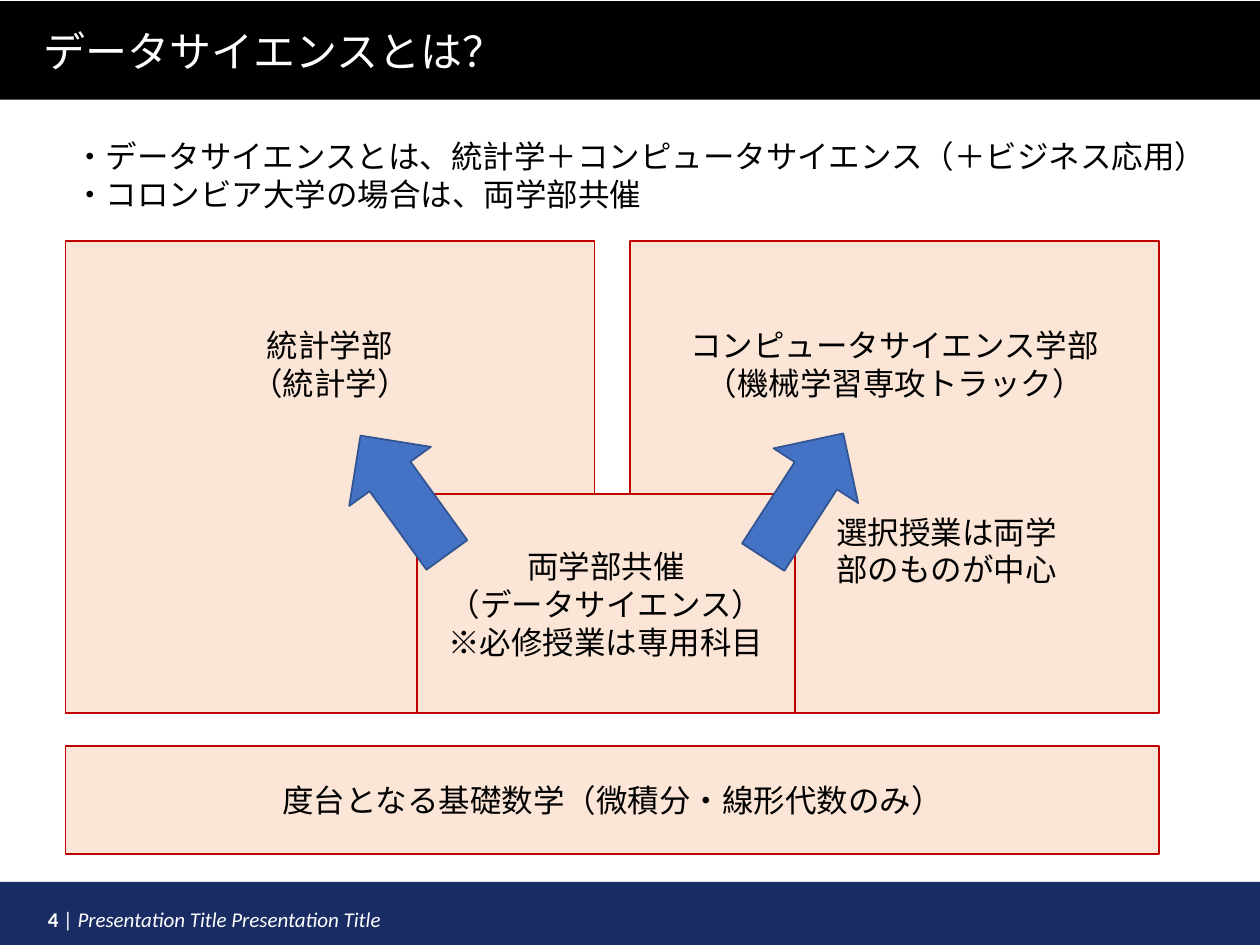
from lxml import etree
from pptx import Presentation
from pptx.dml.color import RGBColor
from pptx.enum import shapes, text
from pptx.oxml import ns
from pptx.util import Pt

JP = "Noto Sans CJK JP"
LATIN = "Calibri"
RECT = shapes.MSO_SHAPE.RECTANGLE
ARROW = shapes.MSO_SHAPE.RIGHT_ARROW
CENTER = text.PP_ALIGN.CENTER
TOP = text.MSO_ANCHOR.TOP
MIDDLE = text.MSO_ANCHOR.MIDDLE

WIDTH, HEIGHT = 720, 540
TITLE = "データサイエンスとは？"
FOOTER = [("4 ", {"bold": True}), ("| ", {}),
          ("Presentation Title Presentation Title", {"italic": True})]
SUMMARY = ["・データサイエンスとは、統計学＋コンピュータサイエンス（＋ビジネス応用）",
           "・コロンビア大学の場合は、両学部共催"]
DEPARTMENTS = [["統計学部", "（統計学）"],
               ["コンピュータサイエンス学部", "（機械学習専攻トラック）"]]
FOUNDATION = ["度台となる基礎数学（微積分・線形代数のみ）"]
JOINT = ["両学部共催", "（データサイエンス）", "※必修授業は専用科目"]
ELECTIVES = ["選択授業は両学部のものが中心"]
ARROWS = [(188.6, 234.1), (416.9, 302.9)]

LEFT, DEPT_TOP, DEPT_W, DEPT_H = 37.4, 137.5, 302.4, 270
DEPT_STEP = 322.6
DEPT_TEXT_INSET = 49

prs = Presentation()
prs.slide_width, prs.slide_height = Pt(WIDTH), Pt(HEIGHT)
slide = prs.slides.add_slide(prs.slide_layouts[6])


def color(value):
    return RGBColor.from_string(value)


def write(frame, paragraphs, size=18, font=JP, ink="000000", align=None,
          anchor=TOP, top_inset=3.6, spacing=None):
    frame.word_wrap = True
    frame.vertical_anchor = anchor
    frame.margin_top = Pt(top_inset)
    for i, content in enumerate(paragraphs):
        paragraph = frame.add_paragraph() if i else frame.paragraphs[0]
        paragraph.alignment = align
        paragraph.line_spacing = spacing
        runs = [(content, {})] if isinstance(content, str) else content
        for words, style in runs:
            run = paragraph.add_run()
            run.text = words
            run.font.size = Pt(size)
            run.font.name = font
            run.font.color.rgb = color(ink)
            run.font.bold = style.get("bold")
            run.font.italic = style.get("italic")
            etree.SubElement(run.font._element, ns.qn("a:ea"), typeface=JP)


def add_text(x, y, w, h, paragraphs, **style):
    box = slide.shapes.add_textbox(Pt(x), Pt(y), Pt(w), Pt(h))
    write(box.text_frame, paragraphs, **style)


def add_block(x, y, w, h, fill, line=None, kind=RECT):
    block = slide.shapes.add_shape(kind, Pt(x), Pt(y), Pt(w), Pt(h))
    block.shadow.inherit = False
    block.fill.solid()
    block.fill.fore_color.rgb = color(fill)
    if line:
        block.line.color.rgb = color(line)
        block.line.width = Pt(1)
    else:
        block.line.fill.background()
    return block


def add_panel(x, y, w, h, paragraphs, **style):
    panel = add_block(x, y, w, h, "FBE5D6", "C00000")
    write(panel.text_frame, paragraphs, align=CENTER, **style)


def add_shadow(block):
    effects = block._element.spPr.find(ns.qn("a:effectLst"))
    shadow = etree.SubElement(effects, ns.qn("a:outerShdw"), blurRad=str(Pt(3.1)),
                              dist=str(Pt(1.8)), dir="5400000", rotWithShape="0")
    tint = etree.SubElement(shadow, ns.qn("a:srgbClr"), val="808080")
    etree.SubElement(tint, ns.qn("a:alpha"), val="35000")


add_block(0, 0.7, WIDTH, 56.2, "000000")
add_text(18, 10.8, 342, 36.7, [TITLE], size=24, font=LATIN, ink="FFFFFF")
add_shadow(add_block(0, 504, WIDTH, 36, "1A2C64"))
add_text(20.2, 504.7, 534.2, 28.8, [FOOTER], size=12, font=LATIN, ink="FFFFFF",
         spacing=Pt(24))
add_text(35.3, 74.9, 684.7, 51.1, SUMMARY)

for i, department in enumerate(DEPARTMENTS):
    add_panel(LEFT + i * DEPT_STEP, DEPT_TOP, DEPT_W, DEPT_H, department,
              top_inset=DEPT_TEXT_INSET)
add_panel(LEFT, 426.2, DEPT_STEP + DEPT_W, 61.9, FOUNDATION, anchor=MIDDLE)
add_panel(238.3, 282.5, 216, 125, JOINT, anchor=MIDDLE)

for x, angle in ARROWS:
    add_block(x, 254.2, 84.2, 57.6, "4472C4", "325491", ARROW).rotation = angle
add_text(470.2, 289.4, 141.1, 51.1, ELECTIVES, align=CENTER)

prs.save("out.pptx")
